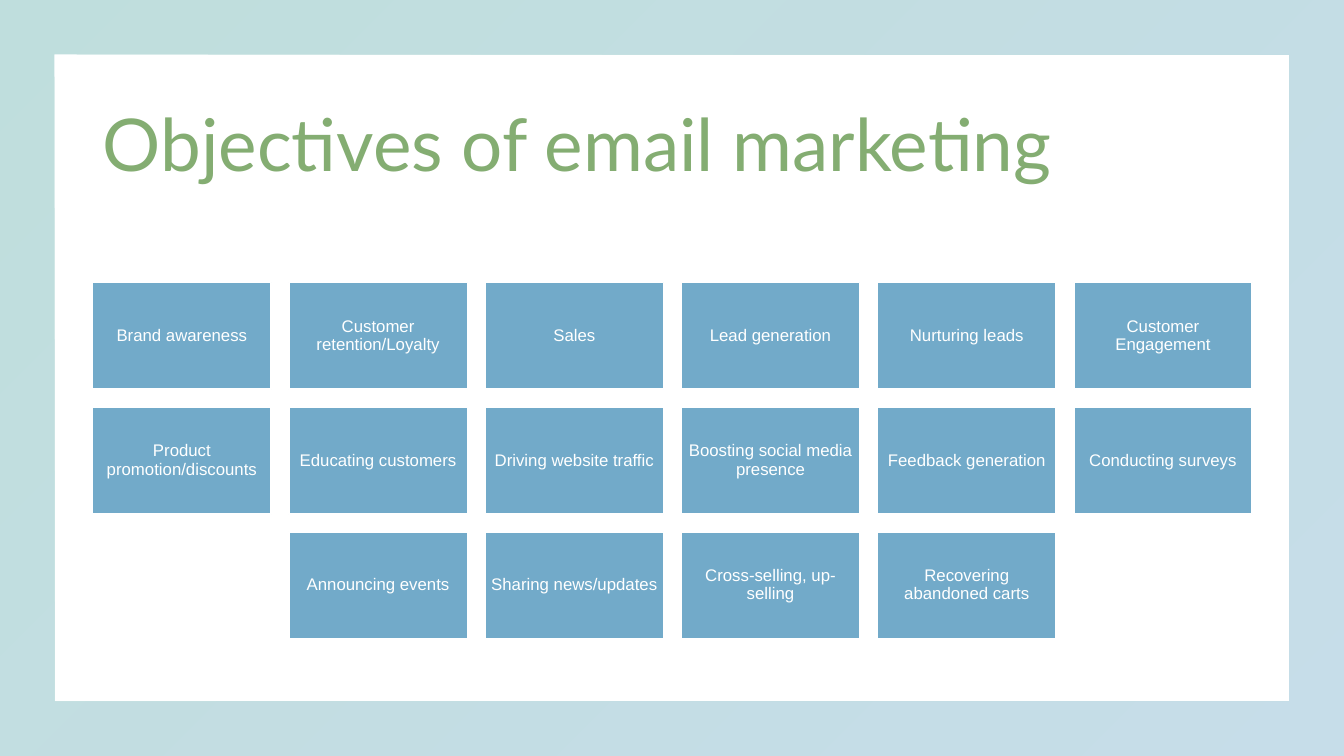
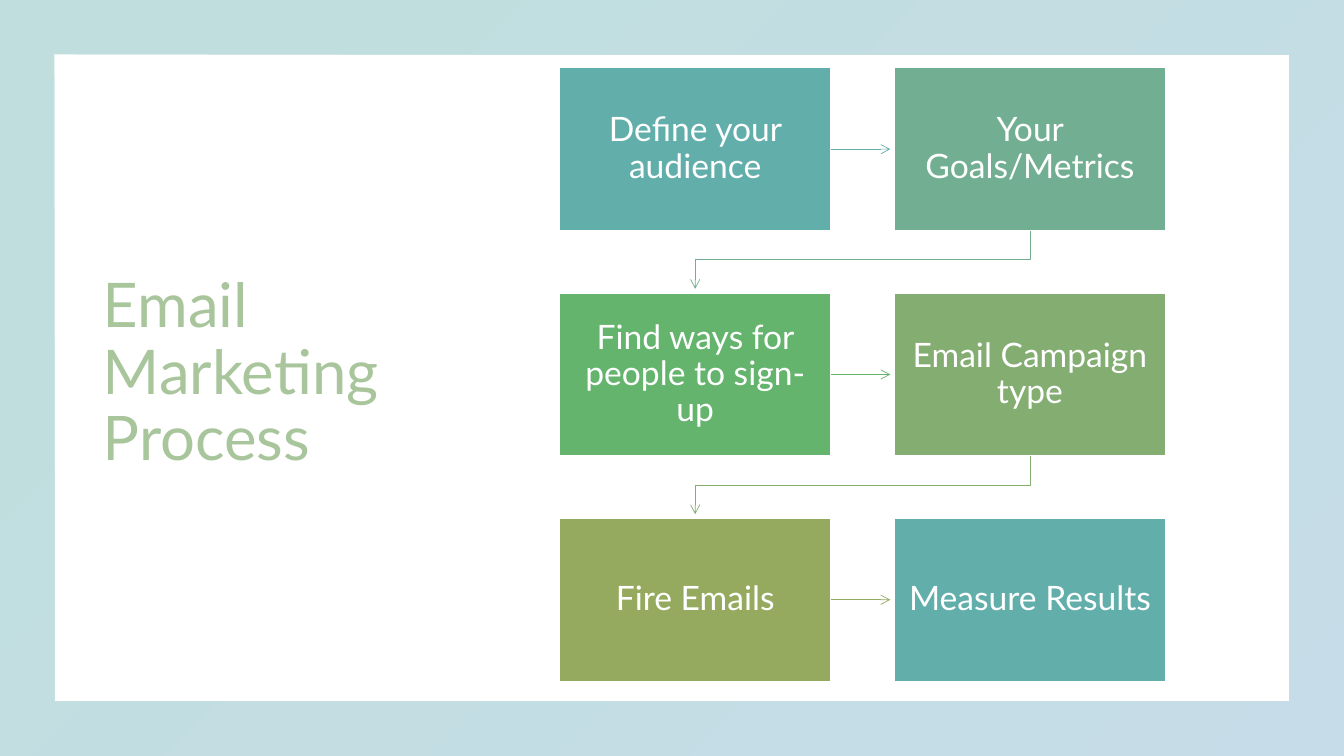
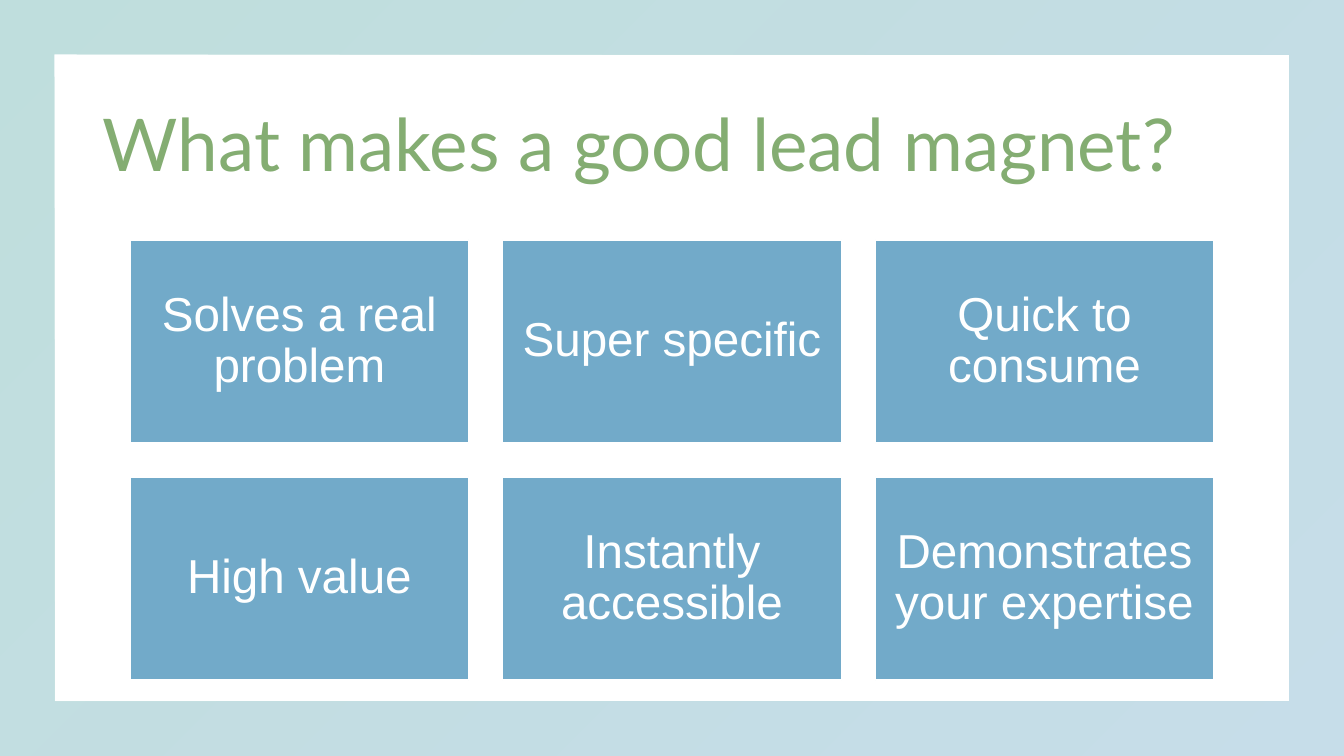
import pptx
import pptx.util
import pptx.dml.color
import pptx.enum.dml
import pptx.enum.shapes
import pptx.enum.text
import pptx.oxml
import pptx.oxml.ns

Inches = pptx.util.Inches
Pt = pptx.util.Pt
RGBColor = pptx.dml.color.RGBColor
Preset = pptx.enum.shapes.MSO_SHAPE
Link = pptx.enum.shapes.MSO_CONNECTOR
Align = pptx.enum.text.PP_ALIGN
qn = pptx.oxml.ns.qn

WHITE = RGBColor(0xFF, 0xFF, 0xFF)
BLUE = RGBColor(0x72, 0xAA, 0xC9)
TEAL = RGBColor(0x61, 0xAE, 0xAA)
SEA_GREEN = RGBColor(0x72, 0xAF, 0x92)
GREEN = RGBColor(0x64, 0xB4, 0x6D)
SAGE = RGBColor(0x84, 0xAD, 0x72)
OLIVE = RGBColor(0x95, 0xAA, 0x5F)

SLIDE_WIDTH, SLIDE_HEIGHT = Inches(13.33), Inches(7.5)
HEADING_BOX = (Inches(0.92), Inches(0.74), Inches(11.5), Inches(1.45))
SIDE_BOX = (Inches(0.92), Inches(0.67), Inches(3.5), Inches(6.09))
FLOW_BOX = (Inches(5.55), Inches(0.67), Inches(6.01), Inches(6.09))
TITLE_FONT, TILE_FONT = "Lato", "Arial"

OBJECTIVES = [
    "Brand awareness", "Customer retention/Loyalty", "Sales",
    "Lead generation", "Nurturing leads", "Customer Engagement",
    "Product promotion/discounts", "Educating customers",
    "Driving website traffic", "Boosting social media presence",
    "Feedback generation", "Conducting surveys",
    "Announcing events", "Sharing news/updates",
    "Cross-selling, up-selling", "Recovering abandoned carts",
]
PROCESS = [
    ("Define your audience", TEAL),
    ("Your Goals/Metrics", SEA_GREEN),
    ("Find ways for people to sign-up", GREEN),
    ("Email Campaign type", SAGE),
    ("Fire Emails", OLIVE),
    ("Measure Results", TEAL),
]
MAGNET_TRAITS = [
    "Solves a real problem", "Super specific", "Quick to consume",
    "High value", "Instantly accessible", "Demonstrates your expertise",
]


def set_all(target, values):
    for name, value in values.items():
        setattr(target, name, value)


def paint_gradient(fill, angle, stops, owner):
    """Fill with (colour, opacity percent) stops; owner is the XML element holding the fill."""
    fill.gradient()
    fill.gradient_angle = angle
    for stop, (colour, _) in zip(fill.gradient_stops, stops):
        stop.color.rgb = colour
    colours = owner.find(qn("a:gradFill")).iter(qn("a:srgbClr"))
    for element, (_, opacity) in zip(colours, stops):
        if opacity < 100:
            alpha = pptx.oxml.parse_xml(f'<a:alpha {pptx.oxml.ns.nsdecls("a")} val="{opacity * 1000}"/>')
            element.append(alpha)


def add_page(deck, title, box, size, opacity):
    """Add a slide with the pale frame and a gradient title."""
    page = deck.slides.add_slide(deck.slide_layouts[5])
    frame = page.shapes.add_shape(Preset.FRAME, 0, 0, SLIDE_WIDTH, SLIDE_HEIGHT)
    frame.adjustments[0] = 0.072
    frame.shadow.inherit = False
    frame.line.fill.background()
    paint_gradient(frame.fill, 315, [(TEAL, 40), (BLUE, 40)], frame.element.spPr)
    page.shapes.element.insert(2, frame.element)

    heading = page.shapes.title
    set_all(heading, dict(zip(("left", "top", "width", "height"), box)))
    set_all(heading.text_frame, {
        "text": title, "word_wrap": True,
        "auto_size": pptx.enum.text.MSO_AUTO_SIZE.NONE,
        "vertical_anchor": pptx.enum.text.MSO_ANCHOR.MIDDLE,
    })
    para = heading.text_frame.paragraphs[0]
    set_all(para, {"alignment": Align.LEFT, "line_spacing": 0.9})
    span = para.runs[0]
    set_all(span.font, {"name": TITLE_FONT, "size": Pt(size)})
    paint_gradient(span.font.fill, 0, [(SAGE, opacity), (BLUE, 70)],
                   para.runs[0].font.fill and span.text and para.runs[0]._r.rPr)
    return page


def add_tile(page, label, box, colour, font, size, inset):
    tile = page.shapes.add_shape(Preset.RECTANGLE, *box)
    tile.shadow.inherit = False
    tile.fill.solid()
    tile.fill.fore_color.rgb = colour
    tile.line.color.rgb = WHITE
    tile.line.width = Pt(1)
    margins = dict.fromkeys(("margin_left", "margin_right", "margin_top", "margin_bottom"), inset)
    set_all(tile.text_frame, {
        "text": label, "word_wrap": True,
        "vertical_anchor": pptx.enum.text.MSO_ANCHOR.MIDDLE, **margins,
    })
    para = tile.text_frame.paragraphs[0]
    set_all(para, {"alignment": Align.CENTER, "line_spacing": 0.9})
    set_all(para.font, {"name": font, "size": Pt(size)})
    para.font.color.rgb = WHITE


def add_tile_grid(page, labels, left, top, width, columns, size, inset):
    """Fill rows of 5:3 tiles a tenth of a tile apart; a short last row is centred."""
    tile_width = width / (columns + (columns - 1) * 0.1)
    tile_height, gap = tile_width * 0.6, tile_width * 0.1
    for start in range(0, len(labels), columns):
        row = labels[start:start + columns]
        indent = (columns - len(row)) * (tile_width + gap) / 2
        y = top + start // columns * (tile_height + gap)
        for column, label in enumerate(row):
            x = left + indent + column * (tile_width + gap)
            box = [int(length) for length in (x, y, tile_width, tile_height)]
            add_tile(page, label, box, BLUE, TILE_FONT, size, inset)


def add_arrow(page, kind, ends, colour):
    arrow = page.shapes.add_connector(kind, *(int(length) for length in ends))
    arrow.line.color.rgb = colour
    arrow.line.width = Pt(0.5)
    line = arrow.line._get_or_add_ln()
    line.append(pptx.oxml.parse_xml(f'<a:tailEnd {pptx.oxml.ns.nsdecls("a")} type="arrow"/>'))
    properties = arrow.element.spPr
    properties.append(pptx.oxml.parse_xml(f'<a:effectLst {pptx.oxml.ns.nsdecls("a")}/>'))
    return arrow


def add_return_arrow(page, x1, y1, x2, y2, colour):
    """Run down, left and down again: an elbow turned by a quarter about its centre."""
    middle_x, middle_y = (x1 + x2) / 2, (y1 + y2) / 2
    half_drop, half_run = (y2 - y1) / 2, (x1 - x2) / 2
    ends = (middle_x - half_drop, middle_y - half_run, middle_x + half_drop, middle_y + half_run)
    arrow = add_arrow(page, Link.ELBOW, ends, colour)
    arrow.element.spPr.find(qn("a:xfrm")).set("rot", "5400000")


def add_process(page, steps, left, top, width, height):
    """Place the steps in two columns, joined in reading order."""
    columns, rows = 2, len(steps) // 2
    step_width, step_height = Inches(2.69), Inches(1.62)
    pitch_x = width - step_width
    pitch_y = (height - step_height) / (rows - 1)
    clearance = Inches(0.04)
    for index, (label, colour) in enumerate(steps):
        row, column = divmod(index, columns)
        x, y = left + column * pitch_x, int(top + row * pitch_y)
        add_tile(page, label, (x, y, step_width, step_height), colour, TITLE_FONT, 24, Inches(0.13))
        if column == 0:
            middle = y + step_height / 2
            ends = (x + step_width, middle, x + pitch_x - clearance, middle)
            add_arrow(page, Link.STRAIGHT, ends, colour)
        elif row < rows - 1:
            centre = x + step_width / 2
            add_return_arrow(page, centre, y + step_height,
                             centre - pitch_x, y + pitch_y - clearance, colour)


def main():
    deck = pptx.Presentation()
    set_all(deck, {"slide_width": SLIDE_WIDTH, "slide_height": SLIDE_HEIGHT})

    page = add_page(deck, "Objectives of email marketing", HEADING_BOX, 52, 100)
    add_tile_grid(page, OBJECTIVES, Inches(0.92), Inches(2.8), Inches(11.5), 6, 12, Inches(0.05))

    page = add_page(deck, "Email Marketing Process", SIDE_BOX, 44, 70)
    add_process(page, PROCESS, *FLOW_BOX)

    page = add_page(deck, "What makes a good lead magnet?", HEADING_BOX, 52, 100)
    add_tile_grid(page, MAGNET_TRAITS, Inches(1.29), Inches(2.38), Inches(10.75), 3, 34, Inches(0.14))

    deck.save("out.pptx")


if __name__ == "__main__":
    main()
